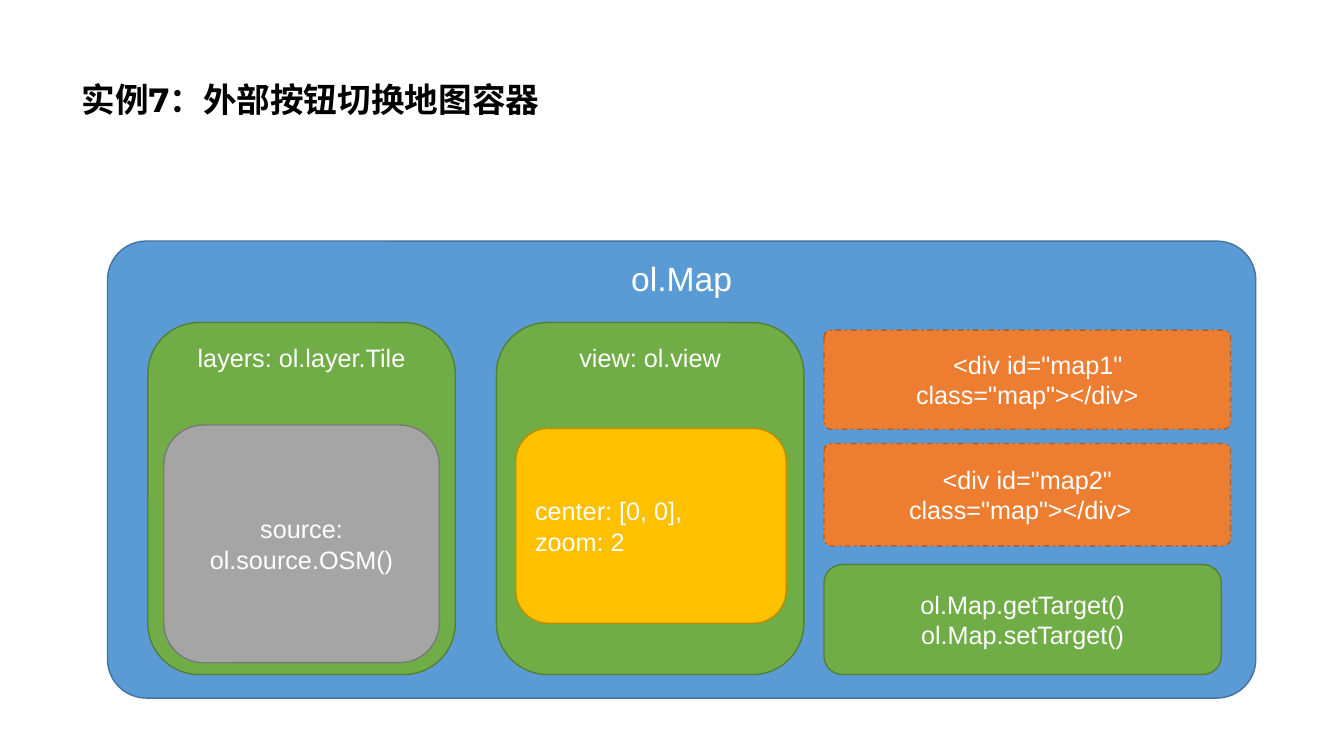
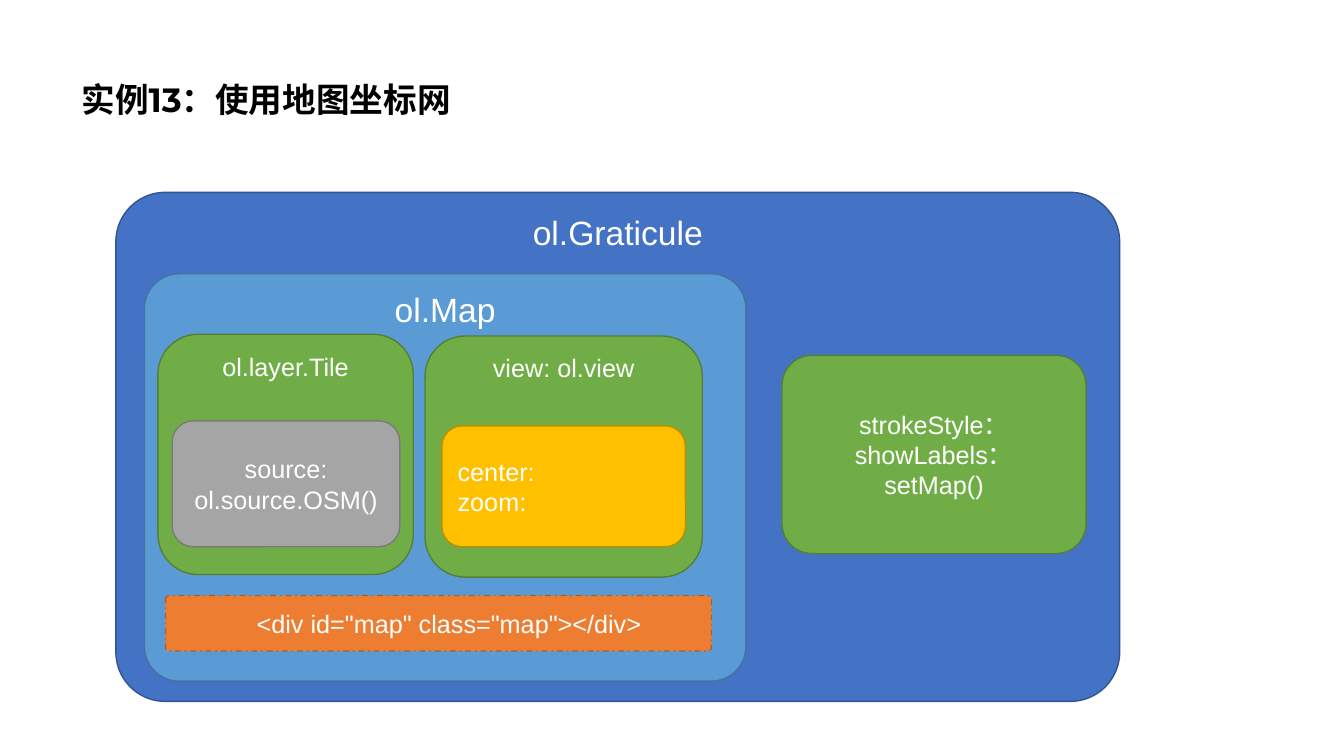
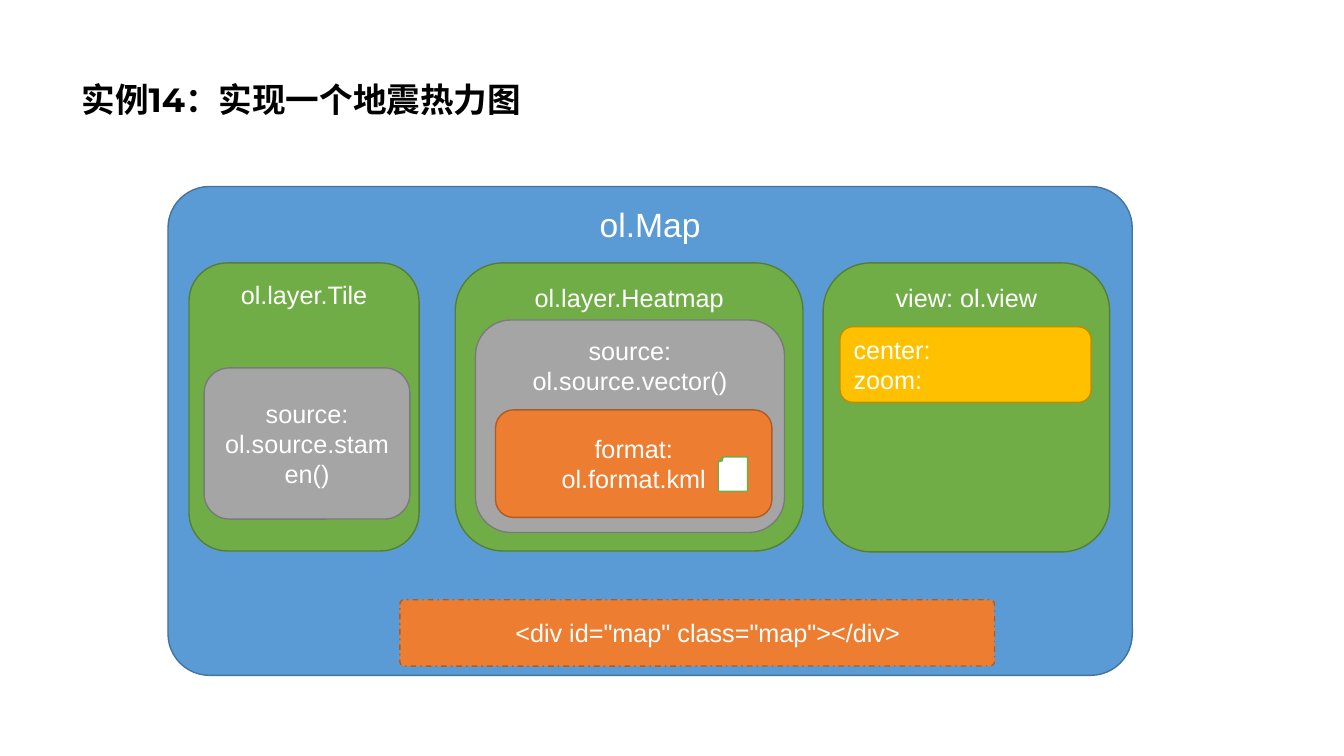
import pptx
import pptx.util
import pptx.dml.color
import pptx.enum.dml
import pptx.enum.shapes
import pptx.enum.text

COLS, ROWS = 160, 90
WIDE, HIGH = pptx.util.Inches(13.33), pptx.util.Inches(7.5)
ROUND = pptx.enum.shapes.MSO_SHAPE.ROUNDED_RECTANGLE
FOLD = pptx.enum.shapes.MSO_SHAPE.FOLDED_CORNER
TOP = pptx.enum.text.MSO_ANCHOR.TOP
MID = pptx.enum.text.MSO_ANCHOR.MIDDLE
LEFT = pptx.enum.text.PP_ALIGN.LEFT
MIDST = pptx.enum.text.PP_ALIGN.CENTER
DASH = pptx.enum.dml.MSO_LINE.DASH_DOT

KINDS = {
    "blue": ("5B9BD5", "43739E"),
    "navy": ("4472C4", "325491"),
    "green": ("70AD47", "538035"),
    "gray": ("A5A5A5", "7A7A7A"),
    "gold": ("FFC000", "BD8E00"),
    "orange": ("ED7D31", "AF5C24"),
    "page": ("FFFFFF", "70AD47"),
}
HEAD = {"size": pptx.util.Pt(24), "name": "Montserrat", "bold": True}
LARGE = {"size": pptx.util.Pt(24), "name": "Arial"}
SMALL = {"size": pptx.util.Pt(18), "name": "Arial"}


def hue(code):
    """Turn a hex string into a colour."""
    return pptx.dml.color.RGBColor.from_string(code)


def put(item, vals):
    """Set each attribute named in a dict."""
    for key, val in vals.items():
        setattr(item, key, val)


def place(box):
    """Turn a box of grid cells into slide lengths."""
    x, y, w, h = box
    return [int(n) for n in (x * WIDE / COLS, y * HIGH / ROWS,
                             w * WIDE / COLS, h * HIGH / ROWS)]


def inner(box, part):
    """Shift a part by the corner of the box that holds it."""
    return (box[0] + part[0], box[1] + part[1], part[2], part[3])


def write(frame, text, font, code, para):
    """Fill a text frame and format all its lines."""
    frame.text = text
    for line in frame.paragraphs:
        put(line, para)
        put(line.font, font)
        line.font.color.rgb = hue(code)


def card(shapes, box, kind, text="", font=SMALL, anchor=MID, align=MIDST,
         bend=None, form=ROUND):
    """Draw one filled card with its text."""
    shape = shapes.add_shape(form, *place(box))
    fill, edge = KINDS[kind]
    shape.shadow.inherit = False
    shape.fill.solid()
    shape.fill.fore_color.rgb = hue(fill)
    shape.line.color.rgb = hue(edge)
    shape.line.width = pptx.util.Pt(1)
    if bend is not None:
        shape.adjustments[0] = bend
    if text:
        put(shape.text_frame, {"word_wrap": True, "vertical_anchor": anchor})
        write(shape.text_frame, text, font, "FFFFFF", {"alignment": align})
    return shape


def frame(shapes, box, text, kind="blue", bend=0.085):
    """Draw a large outer box with its name at the top."""
    card(shapes, box, kind, text, LARGE, TOP, bend=bend)


def layer(shapes, box, text, part, source, anchor=MID):
    """Draw a layer that holds a source, and return the source's box."""
    card(shapes, box, "green", text, anchor=TOP)
    spot = inner(box, part)
    card(shapes, spot, "gray", source, anchor=anchor)
    return spot


def view(shapes, box, part, text="center:\nzoom:"):
    """Draw the view with its settings."""
    card(shapes, box, "green", "view: ol.view", anchor=TOP)
    card(shapes, inner(box, part), "gold", text, align=LEFT)


def target(shapes, box, name, first=15, right=0):
    """Draw a dashed map container with its indents in points."""
    shape = card(shapes, box, "orange",
                 f'<div id="{name}" class="map"></div>', bend=0.069)
    shape.line.dash_style = DASH
    props = shape.text_frame.paragraphs[0]._p.get_or_add_pPr()
    for key, val in {"marL": 0, "marR": right, "indent": first}.items():
        props.set(key, str(pptx.util.Pt(val)))


def start(deck, text):
    """Add a slide with its title and return the slide's shapes."""
    shapes = deck.slides.add_slide(deck.slide_layouts[5]).shapes
    title = shapes.title
    put(title, dict(zip(("left", "top", "width", "height"),
                        place((8.5, 3.4, 138, 17.4)))))
    put(title.text_frame, {"word_wrap": True, "vertical_anchor": MID,
                           "auto_size": pptx.enum.text.MSO_AUTO_SIZE.NONE})
    write(title.text_frame, text, HEAD, "000000",
          {"alignment": LEFT, "line_spacing": 0.9})
    return shapes


def switch(deck, box):
    """Build the slide on switching the map container."""
    shapes = start(deck, "实例7：外部按钮切换地图容器")
    frame(shapes, box, "ol.Map")
    layer(shapes, inner(box, (4.8, 9.7, 36.6, 41.9)), "layers: ol.layer.Tile",
          (1.9, 12.2, 32.8, 28.3), "source: ol.source.OSM()")
    view(shapes, inner(box, (46.3, 9.7, 36.6, 41.9)),
         (2.3, 12.6, 32.2, 23.2), "center: [0, 0],\nzoom: 2")
    target(shapes, inner(box, (85.3, 10.6, 48.4, 11.8)), "map1")
    target(shapes, inner(box, (85.3, 24.1, 48.4, 12.2)), "map2", 10, 10)
    card(shapes, inner(box, (85.3, 38.5, 47.3, 13.1)), "green",
         "ol.Map.getTarget()\nol.Map.setTarget()")


def grid(deck, box):
    """Build the slide on the map grid."""
    shapes = start(deck, "实例13：使用地图坐标网")
    frame(shapes, box, "ol.Graticule", "navy", 0.097)
    group = shapes.add_group_shape().shapes
    chart = inner(box, (3.4, 9.7, 71.6, 48.5))
    frame(group, chart, "ol.Map")
    layer(group, inner(chart, (1.6, 7.2, 30.4, 28.6)), "ol.layer.Tile",
          (1.7, 10.3, 27.1, 15), "source: ol.source.OSM()")
    view(group, inner(chart, (33.4, 7.4, 33, 28.7)), (2, 10.7, 29, 14.4))
    target(group, inner(chart, (2.5, 38.3, 65, 6.6)), "map")
    card(shapes, inner(box, (79.3, 19.4, 36.2, 23.6)), "green",
         "strokeStyle：\nshowLabels：\nsetMap()", bend=0.151)


def heat(deck, box):
    """Build the slide on the heat map."""
    shapes = start(deck, "实例14：实现一个地震热力图")
    frame(shapes, box, "ol.Map")
    layer(shapes, inner(box, (2.5, 9.1, 27.4, 34.3)), "ol.layer.Tile",
          (1.8, 12.5, 24.5, 18), "source: ol.source.stamen()")
    view(shapes, inner(box, (78, 9.1, 34.1, 34.4)), (2, 7.6, 29.9, 9))
    target(shapes, inner(box, (27.6, 49.2, 70.8, 7.9)), "map")
    source = layer(shapes, inner(box, (34.2, 9.1, 41.4, 34.3)),
                   "ol.layer.Heatmap", (2.4, 6.8, 36.8, 25.3),
                   "source: ol.source.vector()", TOP)
    form = inner(source, (2.4, 10.7, 32.9, 12.8))
    card(shapes, form, "orange", "format:\nol.format.kml")
    page = card(shapes, inner(form, (26.5, 5.6, 3.5, 4.1)), "page", form=FOLD)
    page.rotation = 180


def main():
    """Build and save the deck."""
    deck = pptx.Presentation()
    put(deck, {"slide_width": WIDE, "slide_height": HIGH})
    switch(deck, (12.8, 28.7, 136.7, 54.4))
    grid(deck, (13.8, 22.9, 119.5, 60.6))
    heat(deck, (20, 22.2, 114.8, 58.2))
    deck.save("out.pptx")


if __name__ == "__main__":
    main()
